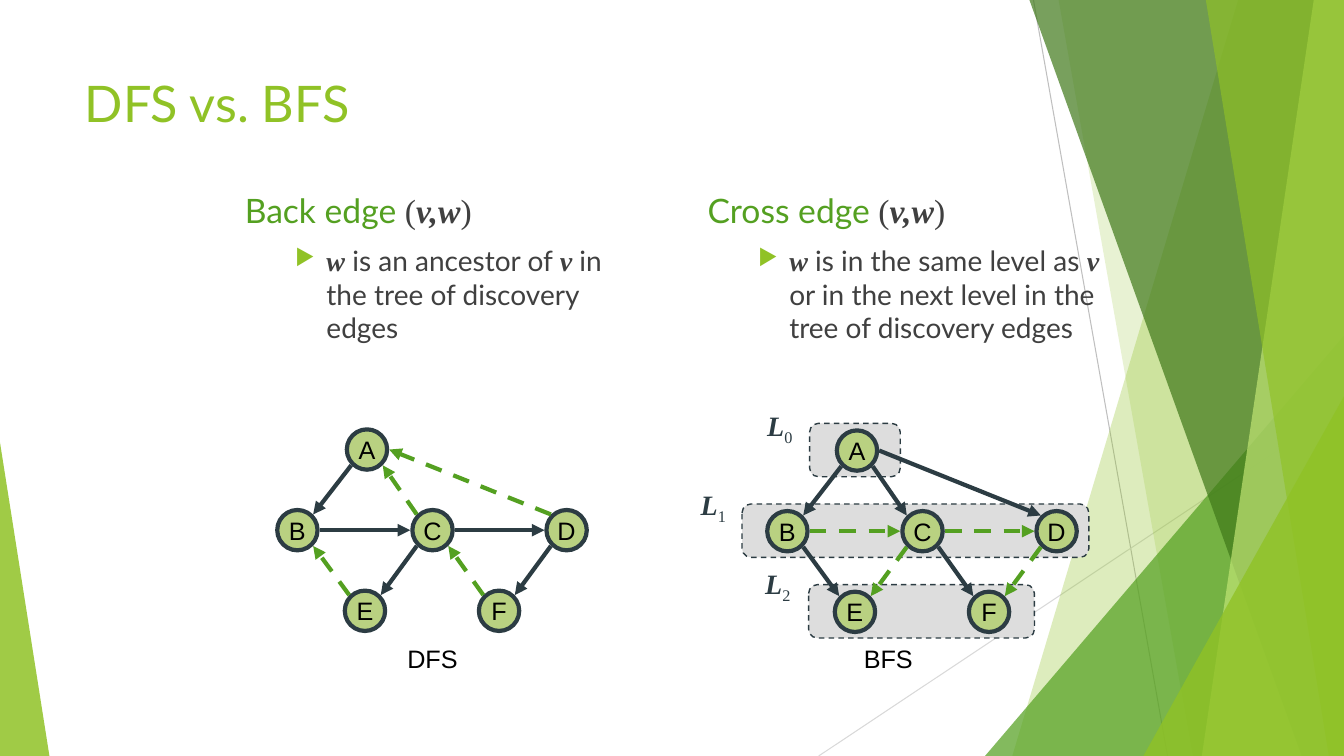
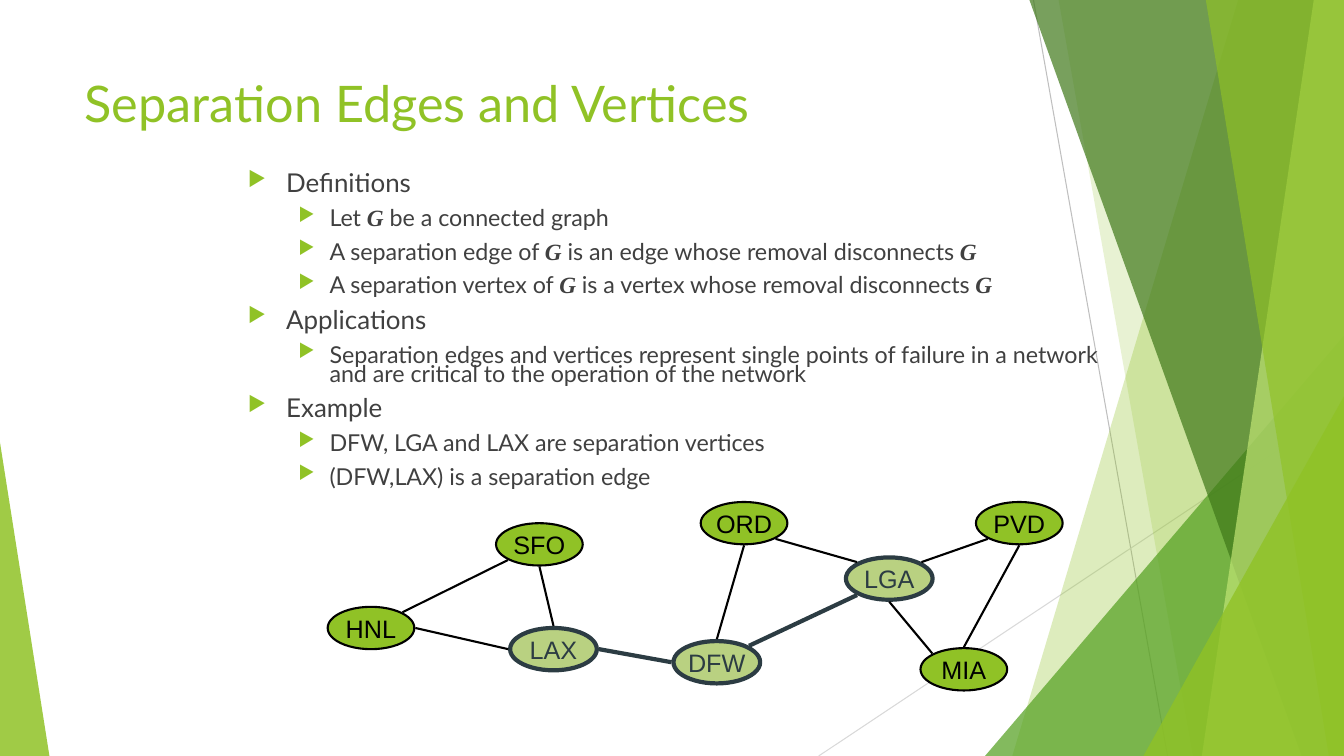
"""Build two slides on graph traversal and separation vertices."""
import pptx
import pptx.util
import pptx.dml.color
import pptx.enum.dml
import pptx.enum.shapes
import pptx.enum.text
import pptx.oxml.ns
from lxml import etree

Inches = pptx.util.Inches
Pt = pptx.util.Pt
RGBColor = pptx.dml.color.RGBColor
SHAPE = pptx.enum.shapes.MSO_SHAPE
DASH = pptx.enum.dml.MSO_LINE.DASH
ANCHOR = pptx.enum.text.MSO_ANCHOR
ALIGN = pptx.enum.text.PP_ALIGN
qn = pptx.oxml.ns.qn

LIME = RGBColor(0x90, 0xC2, 0x26)
GREEN = RGBColor(0x54, 0xA0, 0x21)
FOREST = RGBColor(0x3F, 0x78, 0x19)
PALE = RGBColor(0xC0, 0xE4, 0x74)
SAGE = RGBColor(0xB9, 0xD1, 0x81)
SLATE = RGBColor(0x2C, 0x3C, 0x43)
INK = RGBColor(0x40, 0x40, 0x40)
BLACK = RGBColor(0, 0, 0)
SILVER = RGBColor(0xDD, 0xDD, 0xDD)
GRAY = RGBColor(0xBF, 0xBF, 0xBF)
MIST = RGBColor(0xD9, 0xD9, 0xD9)
SANS, SERIF, PLAIN = "Lato", "Times New Roman", "Arial"
WIDE, HIGH = 13.33, 7.5


def say(par, text, size, color, face, math=False):
    run = par.add_run()
    run.text = text
    font = run.font
    font.size, font.name, font.color.rgb = Pt(size), face, color
    font.bold = font.italic = math
    return run


def link(shapes, start, end, color, width, dash=False, arrow=False):
    line = shapes.add_connector(
        pptx.enum.shapes.MSO_CONNECTOR.STRAIGHT,
        *[Inches(n) for n in (*start, *end)])
    line.line.color.rgb = color
    line.line.width = Pt(width)
    if dash:
        line.line.dash_style = DASH
    if arrow:
        etree.SubElement(line.get_or_add_ln(), qn("a:tailEnd"), type="triangle")
    etree.SubElement(line.element.spPr, qn("a:effectLst"))


prs = pptx.Presentation()
prs.slide_width, prs.slide_height = Inches(WIDE), Inches(HIGH)
layout = prs.slide_layouts[5]
tree = layout.element.cSld.spTree
for holder in list(layout.placeholders):
    if holder.placeholder_format.idx:
        tree.remove(holder.element)
    else:
        holder.left, holder.top = Inches(0.74), Inches(0.67)
        holder.width, holder.height = Inches(9.4), Inches(1.44)

slides = []
for text in ("DFS vs. BFS", "Separation Edges and Vertices"):
    slide = prs.slides.add_slide(layout)
    frame = slide.shapes.title.text_frame
    frame.vertical_anchor = ANCHOR.TOP
    par = frame.paragraphs[0]
    par.alignment = ALIGN.LEFT
    say(par, text, 36, LIME, SANS)
    slides.append(slide.shapes)
search, split = slides

decor = search.add_group_shape()
link(decor.shapes, (10.25, 0), (11.58, HIGH), GRAY, 0.75)
link(decor.shapes, (WIDE, 4.03), (8.12, HIGH), MIST, 0.75)
facets = [
    ("band", LIME, 30, 12.28, 10.04),
    ("band", LIME, 20, 10.5, 11.83),
    ("right", GREEN, 72, 3.56, 4.17),
    ("band", FOREST, 70, 10.21, 12.91),
    ("band", PALE, 70, 13.03, 11.92),
    ("band", LIME, 65, 11.96, 13.18),
    ("right", LIME, 80, 1.99, 3.57),
    ("left", LIME, 85, 0.49, 3.11),
]
for kind, color, alpha, a, b in facets:
    if kind == "band":
        pen = decor.shapes.build_freeform(Inches(a), 0)
        pen.add_line_segments([
            (Inches(x), Inches(y))
            for x, y in ((WIDE, 0), (WIDE, HIGH), (b, HIGH))])
        facet = pen.convert_to_shape()
    else:
        left = WIDE - a if kind == "right" else 0
        facet = decor.shapes.add_shape(
            SHAPE.ISOSCELES_TRIANGLE, Inches(left), Inches(HIGH - b),
            Inches(a), Inches(b))
        facet.adjustments[0] = 1 if kind == "right" else 0
    facet.shadow.inherit = False
    facet.fill.solid()
    facet.fill.fore_color.rgb = color
    tint = facet.element.spPr.find(".//" + qn("a:srgbClr"))
    etree.SubElement(tint, qn("a:alpha"), val=str(alpha * 1000))
    facet.line.fill.background()
tree.insert(2, decor.element)

bodies = [
    (search, 2.33, 1.83, 4.17, 2.32, 1, "Back edge ", [
        (1, 20, "*w* is an ancestor of *v* in the tree of discovery edges")]),
    (search, 6.92, 1.83, 4.17, 2.11, 1, "Cross edge ", [
        (1, 20, "*w* is in the same level as *v* or in the next level "
         "in the tree of discovery edges")]),
    (split, 2.36, 1.69, 8.65, 3.5, 0.7, "", [
        (0, 18.5, "Definitions"),
        (1, 16.6, "Let *G* be a connected graph"),
        (1, 16.6, "A separation edge of *G* is an edge whose removal "
         "disconnects *G*"),
        (1, 16.6, "A separation vertex of *G* is a vertex whose removal "
         "disconnects *G*"),
        (0, 18.5, "Applications"),
        (1, 16.6, "Separation edges and vertices represent single points of "
         "failure in a network and are critical to the operation of the "
         "network"),
        (0, 18.5, "Example"),
        (1, 16.6, "DFW, LGA and LAX are separation vertices"),
        (1, 16.6, "(DFW,LAX) is a separation edge")]),
]
for shapes, left, top, width, height, pitch, head, rows in bodies:
    box = shapes.add_textbox(
        Inches(left), Inches(top), Inches(width), Inches(height))
    frame = box.text_frame
    frame.word_wrap = True
    par = frame.paragraphs[0]
    if head:
        say(par, head, 24, GREEN, SANS)
        say(par, "(", 24, INK, SERIF)
        say(par, "v,w", 24, INK, SERIF, True)
        say(par, ")", 24, INK, SERIF)
    for i, (level, size, text) in enumerate(rows):
        if head or i:
            par = frame.add_paragraph()
            par.space_before = Pt(10)
        par.level = level
        par.line_spacing = pitch
        props = par._p.get_or_add_pPr()
        indent, hang = ((0.38, 0.38), (0.81, 0.31))[level]
        props.set("marL", str(Inches(indent)))
        props.set("indent", str(-Inches(hang)))
        tint = etree.SubElement(props, qn("a:buClr"))
        etree.SubElement(tint, qn("a:srgbClr"), val=str(LIME))
        etree.SubElement(props, qn("a:buSzPct"), val="80000")
        etree.SubElement(props, qn("a:buChar"), char="▶")
        for j, part in enumerate(text.split("*")):
            if part:
                math = j % 2 == 1
                say(par, part, size, INK, SERIF if math else SANS, math)

for x, y, width in ((8.02, 5.8, 2.24), (7.36, 5, 3.44), (8.03, 4.2, 0.9)):
    band = search.add_shape(
        SHAPE.ROUNDED_RECTANGLE, Inches(x), Inches(y),
        Inches(width), Inches(0.53))
    band.shadow.inherit = False
    band.fill.solid()
    band.fill.fore_color.rgb = SILVER
    band.line.color.rgb = SLATE
    band.line.width = Pt(1)
    band.line.dash_style = DASH

for i, (x, y) in enumerate(((7.48, 4), (6.82, 4.79), (7.46, 5.57))):
    box = search.add_textbox(Inches(x), Inches(y), Inches(0.51), Inches(0.43))
    box.text_frame.word_wrap = True
    par = box.text_frame.paragraphs[0]
    par.alignment = ALIGN.CENTER
    say(par, "L", 20, SLATE, SERIF, True)
    sub = say(par, str(i), 20, SLATE, SERIF)
    sub._r.get_or_add_rPr().set("baseline", "-25000")

for text, x in (("DFS", 3.42), ("BFS", 7.94)):
    box = search.add_textbox(Inches(x), Inches(6.33), Inches(1.74), Inches(0.4))
    box.text_frame.word_wrap = True
    par = box.text_frame.paragraphs[0]
    par.alignment = ALIGN.CENTER
    say(par, text, 18, BLACK, PLAIN)

spots = {"A": (0.69, 0), "B": (0, 0.8), "C": (1.34, 0.8),
         "D": (2.67, 0.8), "E": (0.67, 1.6), "F": (2, 1.6)}
ports = {"HNL": (3.68, 6.23), "SFO": (5.35, 5.4), "LAX": (5.49, 6.44),
         "DFW": (7.11, 6.57), "ORD": (7.38, 5.19), "LGA": (8.82, 5.74),
         "PVD": (10.11, 5.19), "MIA": (9.56, 6.64)}
cuts = ("DFW", "LGA", "LAX")
sites = {"n": (0, -1), "s": (0, 1), "e": (1, 0), "w": (-1, 0),
         "ne": (0.71, -0.71), "nw": (-0.71, -0.71),
         "se": (0.71, 0.71), "sw": (-0.71, 0.71)}
graphs = [
    (search, spots, 2.95, 4.46, 0.2, 0.2,
     ["A sw B ne", "B e C w", "C e D w", "C sw E ne", "D sw F ne"],
     ["C nw A se", "D nw A e", "E nw B se", "F nw C se"]),
    (search, spots, 7.81, 4.47, 0.2, 0.2,
     ["A sw B ne", "A se C nw", "A e D nw", "B se E nw", "C se F nw"],
     ["B e C w", "C e D w", "C sw E ne", "D sw F ne"]),
    (split, ports, 0, 0, 0.43, 0.21,
     ["DFW n ORD s", "DFW ne LGA sw", "LGA ne PVD sw", "HNL e LAX w",
      "SFO s LAX n", "LGA s MIA nw", "LGA nw ORD se", "LAX e DFW w",
      "HNL ne SFO sw", "MIA n PVD s"], []),
]
for shapes, nodes, left, top, rx, ry, solid, dashed in graphs:
    tour = shapes is search
    for name, (x, y) in nodes.items():
        bold = tour or name in cuts
        node = shapes.add_shape(
            SHAPE.OVAL, Inches(left + x - rx), Inches(top + y - ry),
            Inches(2 * rx), Inches(2 * ry))
        node.shadow.inherit = False
        node.fill.solid()
        node.fill.fore_color.rgb = SAGE if bold else LIME
        node.line.color.rgb = SLATE if bold else BLACK
        node.line.width = Pt(3 if bold else 1.5)
        frame = node.text_frame
        frame.word_wrap = False
        frame.vertical_anchor = ANCHOR.MIDDLE
        par = frame.paragraphs[0]
        par.alignment = ALIGN.CENTER
        say(par, name, 18, SLATE if name in cuts else BLACK, PLAIN)
    for edge in solid + dashed:
        a, out, b, into = edge.split()
        ends = []
        for name, site in ((a, out), (b, into)):
            x, y = nodes[name]
            dx, dy = sites[site]
            gap = 0.02 if tour or name in cuts else 0.01
            ends.append((left + x + dx * (rx + gap),
                         top + y + dy * (ry + gap)))
        bold = tour or (a in cuts and b in cuts)
        dash = edge in dashed
        color = GREEN if dash else SLATE if bold else BLACK
        link(shapes, *ends, color, 3 if bold else 1.5, dash, tour)

prs.save("out.pptx")
